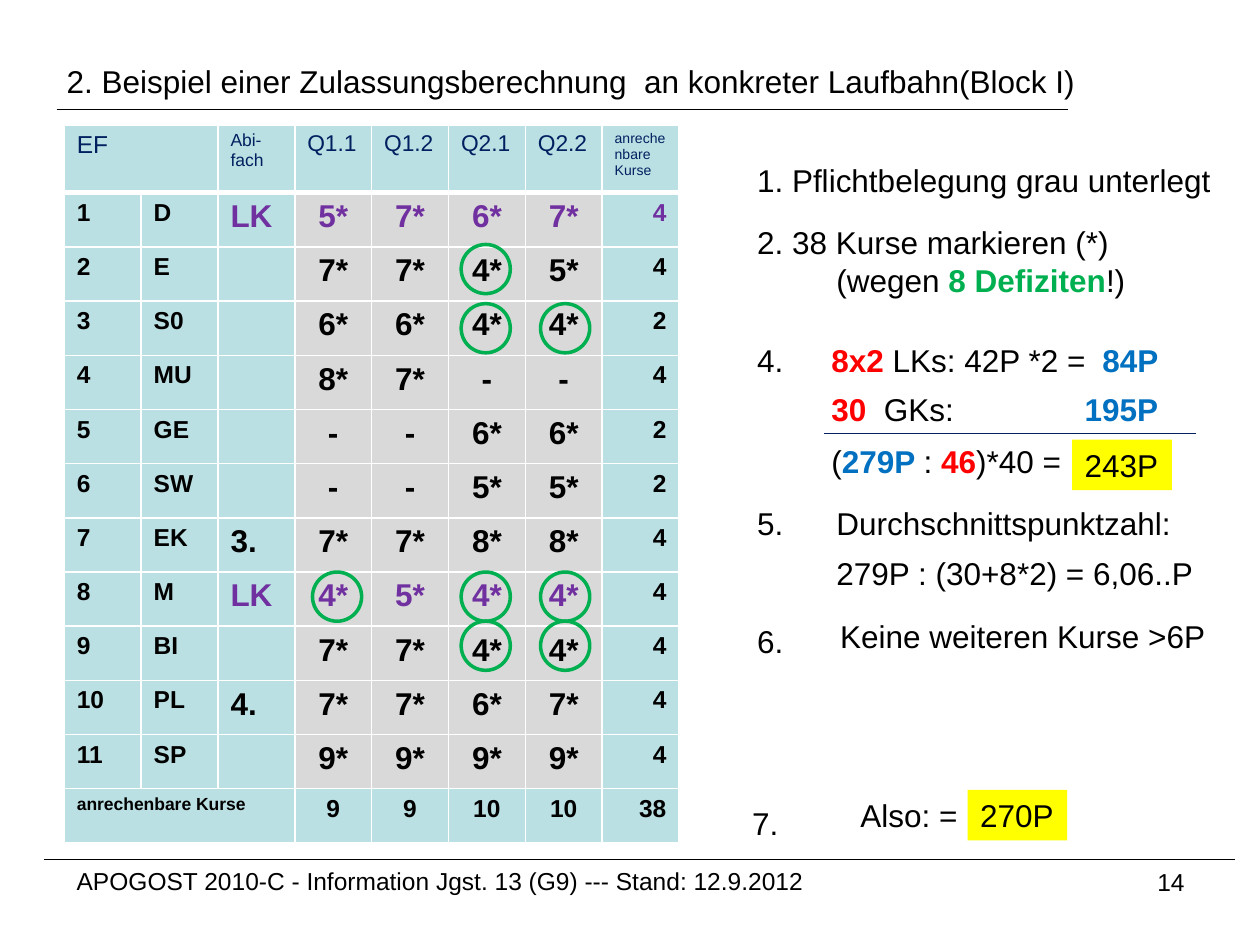
import dataclasses

import lxml.etree
import pptx
import pptx.dml.color
import pptx.enum.shapes
import pptx.enum.text
import pptx.oxml.ns
import pptx.util

Inches = pptx.util.Inches
Align = pptx.enum.text.PP_ALIGN
Shape = pptx.enum.shapes.MSO_SHAPE


@dataclasses.dataclass(frozen=True)
class Theme:
    font: str = "Arial"
    black: str = "000000"
    white: str = "FFFFFF"
    navy: str = "002060"
    purple: str = "7030A0"
    green: str = "00B050"
    red: str = "FF0000"
    blue: str = "0070C0"
    yellow: str = "FFFF00"
    teal: str = "BBE0E3"
    gray: str = "D9D9D9"
    body: int = 18
    small: int = 14
    quarter: int = 13
    label: int = 10
    tiny: int = 8


def rgb(value):
    return pptx.dml.color.RGBColor.from_string(value)


class SlideBuilder:
    """Draws themed elements on the current slide."""

    def __init__(self, slide, theme):
        self.slide = slide
        self.theme = theme

    def style(self, font, size, color, bold=False):
        font.name = self.theme.font
        font.size = pptx.util.Pt(size)
        font.bold = bold
        font.color.rgb = rgb(color)

    def fill_text(self, paragraph, parts, size):
        """Write plain text, or (text, color) parts whose colored words are bold."""
        if isinstance(parts, str):
            paragraph.text = parts
            self.style(paragraph.font, size, self.theme.black)
            return
        for text, color in parts:
            run = paragraph.add_run()
            run.text = text
            self.style(run.font, size, color, color != self.theme.black)

    def text(self, left, top, width, *paragraphs, height=0.4, size=None, wrap=True,
             align=Align.LEFT, indent=0, tab=0):
        box = self.slide.shapes.add_textbox(Inches(left), Inches(top), Inches(width), Inches(height))
        frame = box.text_frame
        frame.word_wrap = wrap
        for index, parts in enumerate(paragraphs):
            paragraph = frame.add_paragraph() if index else frame.paragraphs[0]
            paragraph.alignment = align
            self.fill_text(paragraph, parts, size or self.theme.body)
            properties = paragraph._p.get_or_add_pPr()
            if index and indent:
                properties.set("marL", str(Inches(indent)))
            if tab:
                tabs = lxml.etree.SubElement(properties, pptx.oxml.ns.qn("a:tabLst"))
                lxml.etree.SubElement(tabs, pptx.oxml.ns.qn("a:tab"), pos=str(Inches(tab)), algn="l")

    def result(self, left, top, text):
        shape = self.slide.shapes.add_shape(Shape.RECTANGLE, Inches(left), Inches(top), Inches(0.79), Inches(0.4))
        shape.shadow.inherit = False
        shape.fill.solid()
        shape.fill.fore_color.rgb = rgb(self.theme.yellow)
        shape.line.fill.background()
        shape.text_frame.word_wrap = False
        paragraph = shape.text_frame.paragraphs[0]
        paragraph.alignment = Align.LEFT
        self.fill_text(paragraph, text, self.theme.body)

    def ring(self, left, top, diameter=0.39):
        shape = self.slide.shapes.add_shape(
            Shape.OVAL, Inches(left), Inches(top), Inches(diameter), Inches(diameter))
        shape.shadow.inherit = False
        shape.fill.background()
        shape.line.color.rgb = rgb(self.theme.green)
        shape.line.width = pptx.util.Pt(2)

    def rule(self, left, right, top, color):
        line = self.slide.shapes.add_connector(
            pptx.enum.shapes.MSO_CONNECTOR.STRAIGHT, Inches(left), Inches(top), Inches(right), Inches(top))
        line.line.color.rgb = rgb(color)
        line.line.width = pptx.util.Pt(0.75)
        lxml.etree.SubElement(line._element.spPr, pptx.oxml.ns.qn("a:effectLst"))

    def cell(self, cell, text, size, color, fill, bold=True, align=Align.LEFT, bottom=1):
        cell.fill.solid()
        cell.fill.fore_color.rgb = rgb(fill)
        paragraph = cell.text_frame.paragraphs[0]
        paragraph.text = text
        paragraph.alignment = align
        self.style(paragraph.font, size, color, bold)
        properties = cell._tc.get_or_add_tcPr()
        for index, (side, points) in enumerate((("L", 1), ("R", 1), ("T", 1), ("B", bottom))):
            border = lxml.etree.Element(pptx.oxml.ns.qn("a:ln" + side), w=str(pptx.util.Pt(points)))
            solid = lxml.etree.SubElement(border, pptx.oxml.ns.qn("a:solidFill"))
            lxml.etree.SubElement(solid, pptx.oxml.ns.qn("a:srgbClr"), val=self.theme.white)
            properties.insert(index, border)

    def table(self, header, courses, totals):
        theme = self.theme
        rows, columns = len(courses) + 2, len(header)
        table = self.slide.shapes.add_table(
            rows, columns, Inches(0.51), Inches(0.99), Inches(4.88), Inches(5.67)).table
        for column in table.columns:
            column.width = Inches(0.61)
        for index, row in enumerate(table.rows):
            row.height = Inches(0.43 if index else 0.54)

        sizes = [theme.small] * 2 + [theme.label] + [theme.quarter] * 4 + [theme.tiny]
        for column, (text, size) in enumerate(zip(header, sizes)):
            self.cell(table.cell(0, column), text, size, theme.navy, theme.teal, bold=False, bottom=3)

        alignments = [Align.LEFT] * 3 + [Align.CENTER] * 4 + [Align.RIGHT]
        for row, course in enumerate(courses, 1):
            for column, text in enumerate(course):
                graded = 3 <= column <= 6
                marked = course[2] == "LK" and (2 <= column <= 6 or (row == 1 and column == 7))
                self.cell(table.cell(row, column), text,
                          theme.body if 2 <= column <= 6 else theme.small,
                          theme.purple if marked else theme.black,
                          theme.gray if graded else theme.teal, align=alignments[column])

        for column, text in enumerate(totals):
            self.cell(table.cell(rows - 1, column), text, theme.small if column else theme.label,
                      theme.black, theme.teal, align=alignments[column])
        table.cell(0, 0).merge(table.cell(0, 1))
        table.cell(rows - 1, 0).merge(table.cell(rows - 1, 2))


HEADER = ["EF", "", "Abi-fach", "Q1.1", "Q1.2", "Q2.1", "Q2.2", "anrechenbare Kurse"]
COURSES = [
    ["1", "D", "LK", "5*", "7*", "6*", "7*", "4"],
    ["2", "E", "", "7*", "7*", "4*", "5*", "4"],
    ["3", "S0", "", "6*", "6*", "4*", "4*", "2"],
    ["4", "MU", "", "8*", "7*", "-", "-", "4"],
    ["5", "GE", "", "-", "-", "6*", "6*", "2"],
    ["6", "SW", "", "-", "-", "5*", "5*", "2"],
    ["7", "EK", "3.", "7*", "7*", "8*", "8*", "4"],
    ["8", "M", "LK", "4*", "5*", "4*", "4*", "4"],
    ["9", "BI", "", "7*", "7*", "4*", "4*", "4"],
    ["10", "PL", "4.", "7*", "7*", "6*", "7*", "4"],
    ["11", "SP", "", "9*", "9*", "9*", "9*", "4"],
]
TOTALS = ["anrechenbare Kurse", "", "", "9", "9", "10", "10", "38"]
DEFICIT_RINGS = {1.94: [3.66], 2.41: [3.66, 4.29], 4.54: [2.48, 3.66, 4.29], 4.93: [3.66, 4.29]}
STEP_NUMBERS = [("4.", 5.91, 2.66), ("5.", 5.91, 3.95), ("6.", 5.91, 4.89), ("7.", 5.87, 6.33)]


def main():
    presentation = pptx.Presentation()
    presentation.slide_width, presentation.slide_height = Inches(10), Inches(7.5)
    theme = Theme()
    builder = SlideBuilder(presentation.slides.add_slide(presentation.slide_layouts[6]), theme)

    builder.rule(0.35, 9.8, 6.82, theme.black)
    builder.rule(0.45, 8.48, 0.87, theme.black)
    builder.text(0.51, 6.82, 6.53, "APOGOST 2010-C - Information Jgst. 13 (G9) --- Stand: 12.9.2012",
                 height=0.52, size=theme.small)
    builder.text(7.17, 6.83, 2.33, "14", height=0.52, size=theme.small, align=Align.RIGHT)
    builder.table(HEADER, COURSES, TOTALS)

    builder.text(0.43, 0.44, 8.28, "2. Beispiel einer Zulassungsberechnung  an konkreter Laufbahn(Block I)",
                 wrap=False)
    builder.text(5.91, 1.23, 3.89, "1. Pflichtbelegung grau unterlegt")
    builder.text(5.91, 1.72, 3.89, "2. 38 Kurse markieren (*)",
                 [("(wegen ", theme.black), ("8 Defiziten", theme.green), ("!)", theme.black)],
                 height=0.71, indent=0.63)
    for number, left, top in STEP_NUMBERS:
        builder.text(left, top, 0.55, number)

    builder.text(6.5, 2.66, 2.83, [("8x2", theme.red), (" LKs: 42P *2 =\t", theme.black),
                                   ("84P", theme.blue)], tab=2.15)
    builder.text(6.5, 3.05, 2.91, [("30", theme.red), ("  GKs:\t", theme.black),
                                   ("195P", theme.blue)], tab=2.01)
    builder.rule(6.54, 9.49, 3.44, theme.navy)
    builder.text(6.5, 3.46, 2.05, [("(", theme.black), ("279P ", theme.blue), (": ", theme.black),
                                   ("46", theme.red), (")*40 =", theme.black)], wrap=False)
    builder.result(8.51, 3.49, "243P")
    builder.text(6.54, 3.95, 2.88, "Durchschnittspunktzahl:", wrap=False)
    builder.text(6.54, 4.35, 3.04, "279P : (30+8*2) = 6,06..P")
    builder.text(6.57, 4.85, 3.13, "Keine weiteren Kurse >6P", wrap=False)
    builder.text(6.73, 6.27, 0.98, "Also: =", wrap=False)
    builder.result(7.68, 6.27, "270P")

    for top, lefts in DEFICIT_RINGS.items():
        for left in lefts:
            builder.ring(left, top)
    presentation.save("out.pptx")


if __name__ == "__main__":
    main()
